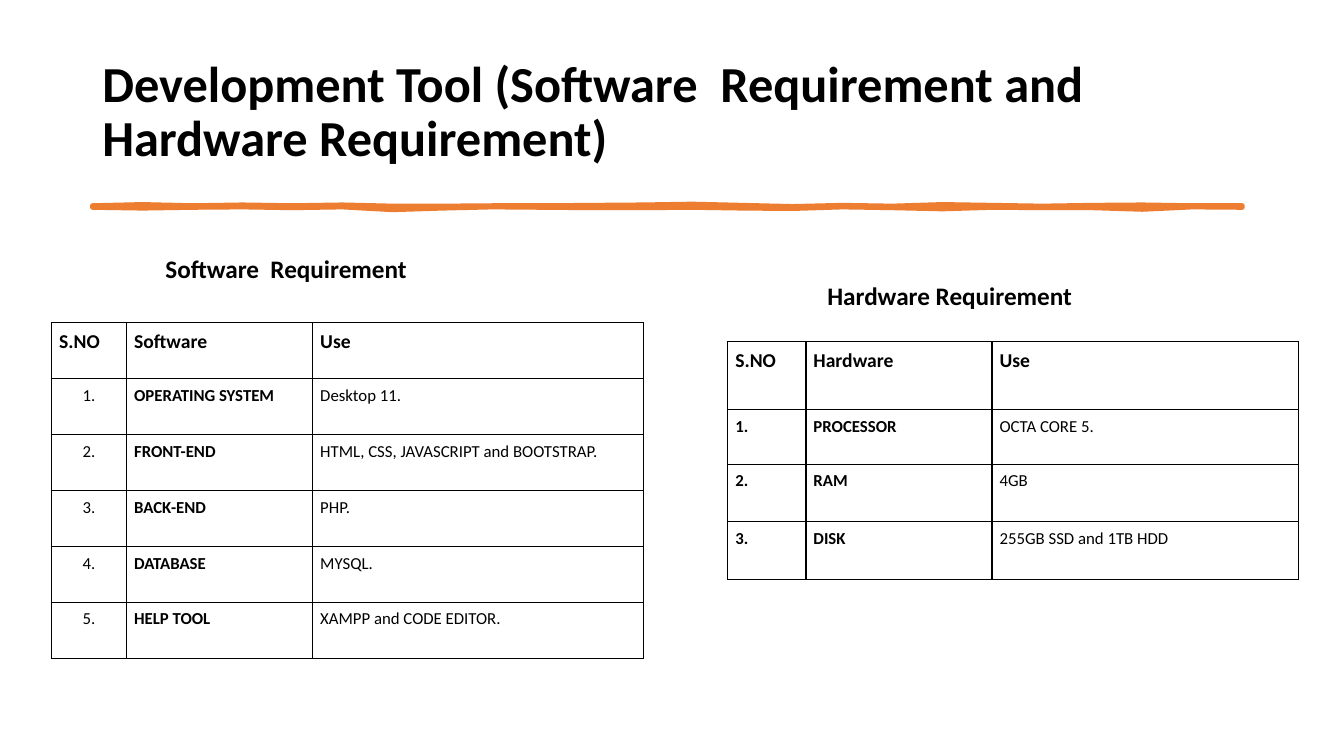
from dataclasses import dataclass

from lxml import etree
from pptx import Presentation
from pptx.dml.color import RGBColor
from pptx.enum.text import MSO_ANCHOR, PP_ALIGN
from pptx.oxml.ns import qn
from pptx.util import Cm, Pt

LEFT, CENTER = PP_ALIGN.LEFT, PP_ALIGN.CENTER
TOP, MIDDLE = MSO_ANCHOR.TOP, MSO_ANCHOR.MIDDLE
FONT, BLACK, ORANGE = "Calibri", "000000", "ED7D31"
STEP = 1.26
# Top and bottom edge of the brush stroke at equal steps
EDGES = [
    (5.18, 5.23), (5.15, 5.25), (5.18, 5.23), (5.16, 5.22), (5.18, 5.24), (5.16, 5.22),
    (5.19, 5.29), (5.19, 5.25), (5.18, 5.22), (5.18, 5.23), (5.17, 5.24), (5.16, 5.24),
    (5.14, 5.23), (5.17, 5.25), (5.20, 5.26), (5.17, 5.22), (5.19, 5.24), (5.15, 5.27),
    (5.17, 5.23), (5.19, 5.24), (5.17, 5.24), (5.16, 5.28), (5.18, 5.22), (5.18, 5.23),
]


@dataclass
class Label:
    text: str
    left: float
    top: float
    width: float
    height: float
    size: int
    anchor: MSO_ANCHOR = TOP
    space: float = 1.0


@dataclass
class Grid:
    left: float
    top: float
    cols: list[float]
    rows: list[float]
    cells: list[tuple[str, str, str]]
    align: PP_ALIGN
    bold: bool


LABELS = [
    Label("Development Tool (Software  Requirement and Hardware Requirement)",
          2.33, 1.01, 29.21, 3.68, 36, MIDDLE, 0.9),
    Label("Software  Requirement", 3.92, 6.27, 10, 1.03, 18),
    Label("Hardware Requirement", 20.6, 6.93, 10, 1.03, 18),
]
GRIDS = [
    Grid(18.34, 8.61, [1.97, 4.69, 7.72], [1.71, 1.38, 1.45, 1.45], [
        ("S.NO", "Hardware", "Use"),
        ("1.", "PROCESSOR", "OCTA CORE 5."),
        ("2.", "RAM", "4GB"),
        ("3.", "DISK", "255GB SSD and 1TB HDD"),
    ], LEFT, True),
    Grid(1.3, 8.13, [1.89, 4.69, 8.33], [1.41] * 6, [
        ("S.NO", "Software", "Use"),
        ("1.", "OPERATING SYSTEM", "Desktop 11."),
        ("2.", "FRONT-END", "HTML, CSS, JAVASCRIPT and BOOTSTRAP."),
        ("3.", "BACK-END", "PHP."),
        ("4.", "DATABASE", "MYSQL."),
        ("5.", "HELP TOOL", "XAMPP and CODE EDITOR."),
    ], CENTER, False),
]


def color(code: str) -> RGBColor:
    return RGBColor.from_string(code)


def style(para, size: int, bold: bool, space: float) -> None:
    para.line_spacing = space
    font = para.font
    font.name, font.size, font.bold = FONT, Pt(size), bold
    font.color.rgb = color(BLACK)


def add_label(slide, item: Label) -> None:
    box = slide.shapes.add_textbox(
        Cm(item.left), Cm(item.top), Cm(item.width), Cm(item.height))
    frame = box.text_frame
    frame.word_wrap = True
    frame.vertical_anchor = item.anchor
    frame.text = item.text
    style(frame.paragraphs[0], item.size, True, item.space)


def add_brush(slide) -> None:
    """Draw the uneven orange rule under the title."""
    upper = [(Cm(2.33 + i * STEP), Cm(top)) for i, (top, _) in enumerate(EDGES)]
    lower = [(Cm(2.33 + i * STEP), Cm(low)) for i, (_, low) in enumerate(EDGES)]
    pen = slide.shapes.build_freeform(*upper[0])
    pen.add_line_segments(upper[1:] + lower[::-1])
    brush = pen.convert_to_shape()
    brush.shadow.inherit = False
    brush.fill.solid()
    brush.fill.fore_color.rgb = color(ORANGE)
    brush.line.color.rgb = color(ORANGE)
    brush.line.width = Pt(3.25)


def add_border(cell) -> None:
    props = cell._tc.get_or_add_tcPr()
    for side in ("lnL", "lnR", "lnT", "lnB"):
        line = etree.SubElement(props, qn(f"a:{side}"), w=str(Pt(0.96)))
        fill = etree.SubElement(line, qn("a:solidFill"))
        etree.SubElement(fill, qn("a:srgbClr"), val=BLACK)


def add_grid(slide, grid: Grid) -> None:
    table = slide.shapes.add_table(
        len(grid.rows), len(grid.cols), Cm(grid.left), Cm(grid.top),
        Cm(sum(grid.cols)), Cm(sum(grid.rows))).table
    for col, width in zip(table.columns, grid.cols):
        col.width = Cm(width)
    for row, height in zip(table.rows, grid.rows):
        row.height = Cm(height)
    for r, texts in enumerate(grid.cells):
        for c, text in enumerate(texts):
            cell = table.cell(r, c)
            add_border(cell)
            cell.fill.background()
            cell.margin_left = cell.margin_right = Cm(0.19)
            cell.margin_top = cell.margin_bottom = Cm(0.13)
            cell.text = text
            para = cell.text_frame.paragraphs[0]
            para.alignment = grid.align if r and c == 0 else LEFT
            bold = r == 0 or c == 1 or (c == 0 and grid.bold)
            style(para, 12 if r else 14, bold, 1.07)


def main() -> None:
    deck = Presentation()
    deck.slide_width, deck.slide_height = Cm(33.87), Cm(19.05)
    slide = deck.slides.add_slide(deck.slide_layouts[6])
    add_brush(slide)
    for grid in GRIDS:
        add_grid(slide, grid)
    for item in LABELS:
        add_label(slide, item)
    deck.save("out.pptx")


if __name__ == "__main__":
    main()
